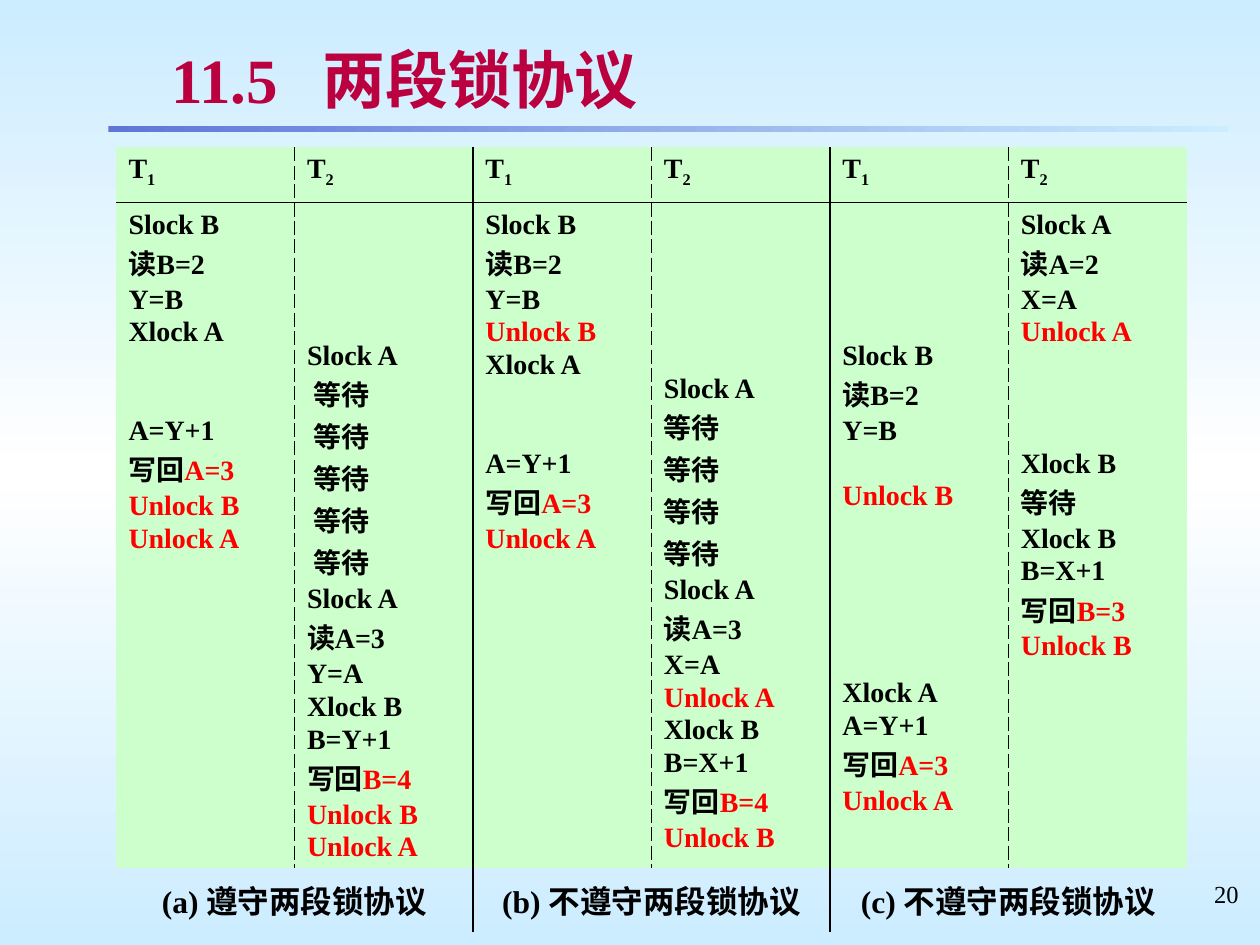
from lxml import etree
from pptx import Presentation
from pptx.dml.color import RGBColor
from pptx.enum.shapes import MSO_SHAPE
from pptx.enum.text import MSO_ANCHOR, PP_ALIGN
from pptx.oxml.ns import qn
from pptx.util import Inches, Pt

RECTANGLE = MSO_SHAPE.RECTANGLE
MIDDLE = MSO_ANCHOR.MIDDLE
LEFT, CENTER, RIGHT = PP_ALIGN.LEFT, PP_ALIGN.CENTER, PP_ALIGN.RIGHT

SKY = RGBColor(0xCC, 0xEC, 0xFF)
WHITE = RGBColor(0xFF, 0xFF, 0xFF)
BLUE = RGBColor(0x5F, 0x76, 0xD7)
CRIMSON = RGBColor(0xBA, 0x00, 0x3E)
SHADOW = RGBColor(0xB2, 0xB2, 0xB2)
MINT = RGBColor(0xCC, 0xFF, 0xCC)
BLACK = RGBColor(0x00, 0x00, 0x00)
RED = RGBColor(0xFF, 0x00, 0x00)

FONT = "Times New Roman"
NO_STYLE = "{2D5ABB26-0587-4C30-8999-92F81FD0307C}"
LINE_PITCH = 18.75
COLUMN_WIDTH = 8.5 / 6
ROW_HEIGHTS = (0.44, 5.28, 0.51)
THIN, DASHED, SOLID = (0.45, "solid"), (0.45, "dash"), (1.08, "solid")
WRITE_BACK = "写回"

# A number stands for that many idle time steps.
SCHEDULES = [
    ["Slock B", "读B=2", "Y=B", "Xlock A", 2, "A=Y+1", "写回A=3",
     "Unlock B", "Unlock A"],
    [4, "Slock A"] + [" 等待"] * 5 + [
        "Slock A", "读A=3", "Y=A", "Xlock B", "B=Y+1", "写回B=4",
        "Unlock B", "Unlock A"],
    ["Slock B", "读B=2", "Y=B", "Unlock B", "Xlock A", 2, "A=Y+1",
     "写回A=3", "Unlock A"],
    [5, "Slock A"] + ["等待"] * 4 + [
        "Slock A", "读A=3", "X=A", "Unlock A", "Xlock B", "B=X+1",
        "写回B=4", "Unlock B"],
    [4, "Slock B", "读B=2", "Y=B", 1, "Unlock B", 5, "Xlock A", "A=Y+1",
     "写回A=3", "Unlock A"],
    ["Slock A", "读A=2", "X=A", "Unlock A", 3, "Xlock B", "等待",
     "Xlock B", "B=X+1", "写回B=3", "Unlock B"],
]
CAPTIONS = ["(a) 遵守两段锁协议", "(b) 不遵守两段锁协议", "(c) 不遵守两段锁协议"]


def set_gradient(fill, colors, angle):
    fill.gradient()
    fill.gradient_angle = angle
    stops = fill._xPr.find(qn("a:gradFill")).find(qn("a:gsLst"))
    for stop in list(stops):
        stops.remove(stop)
    for index, color in enumerate(colors):
        position = index * 100000 // (len(colors) - 1)
        stop = etree.SubElement(stops, qn("a:gs"), pos=str(position))
        etree.SubElement(stop, qn("a:srgbClr"), val=str(color))


def add_span(para, text, size=16, color=BLACK, bold=True):
    span = para.add_run()
    span.text = text
    values = {"name": FONT, "size": Pt(size), "bold": bold}
    for name, value in values.items():
        setattr(span.font, name, value)
    span.font.color.rgb = color
    return span


def add_text_box(page, area, margin, anchor=None):
    box = page.shapes.add_textbox(*map(Inches, area))
    values = {"word_wrap": True, "vertical_anchor": anchor,
              "margin_top": Inches(margin), "margin_bottom": Inches(margin)}
    for name, value in values.items():
        setattr(box.text_frame, name, value)
    return box.text_frame.paragraphs[0]


def add_title(page):
    para = add_text_box(page, (1.26, 0.29, 8.24, 0.67), 0.04, MIDDLE)
    tabs = etree.SubElement(para._p.get_or_add_pPr(), qn("a:tabLst"))
    etree.SubElement(tabs, qn("a:tab"), pos=str(Inches(1.2)), algn="l")
    span = add_span(para, "11.5\t两段锁协议", 36, CRIMSON)
    for item in para.runs:
        fill = item.font._element.find(qn("a:solidFill"))
        effects = etree.Element(qn("a:effectLst"))
        shadow = etree.SubElement(effects, qn("a:outerShdw"),
                                  dist=str(Pt(2)), dir="2700000")
        etree.SubElement(shadow, qn("a:srgbClr"), val=str(SHADOW))
        fill.addnext(effects)
    return span


def add_rule(page):
    rule = page.shapes.add_shape(
        RECTANGLE, *map(Inches, (0.86, 1, 8.89, 0.05)))
    rule.shadow.inherit = False
    rule.line.fill.background()
    set_gradient(rule.fill, (BLUE, SKY), 0)


def set_borders(cell, borders):
    properties = cell._tc.get_or_add_tcPr()
    for index, side in enumerate("LRTB"):
        width, dash = borders.get(side) or (0, None)
        line = etree.Element(qn("a:ln" + side), w=str(Pt(width)))
        if dash:
            fill = etree.SubElement(line, qn("a:solidFill"))
            etree.SubElement(fill, qn("a:srgbClr"), val=str(BLACK))
            etree.SubElement(line, qn("a:prstDash"), val=dash)
        else:
            etree.SubElement(line, qn("a:noFill"))
        properties.insert(index, line)


def column_edge(edge):
    if edge in (0, 6):
        return None
    return DASHED if edge % 2 else SOLID


def fill_header(cell, column):
    para = cell.text_frame.paragraphs[0]
    add_span(para, "T")
    index = add_span(para, str(column % 2 + 1))
    index.font._element.set("baseline", "-25000")


def fill_schedule(cell, steps):
    frame = cell.text_frame
    para, idle = None, 0
    for step in steps:
        if isinstance(step, int):
            idle = step
            continue
        if para is None:
            para = frame.paragraphs[0]
            cell.margin_top = Inches(0.05) + Pt(idle * LINE_PITCH)
        else:
            para = frame.add_paragraph()
            para.space_before = Pt(1 + idle * LINE_PITCH)
        idle = 0
        if step.startswith(WRITE_BACK):
            add_span(para, WRITE_BACK)
            add_span(para, step[len(WRITE_BACK):], color=RED)
        else:
            color = RED if step.startswith("Unlock") else BLACK
            add_span(para, step, color=color)


def fill_caption(table, group):
    column = group * 2
    cell, partner = table.cell(2, column), table.cell(2, column + 1)
    cell.merge(partner)
    cell.vertical_anchor = MIDDLE
    para = cell.text_frame.paragraphs[0]
    para.alignment = CENTER
    add_span(para, CAPTIONS[group], 18)
    borders = {"L": column_edge(column), "R": column_edge(column + 2)}
    for part in (cell, partner):
        part.fill.background()
    set_borders(cell, borders)
    set_borders(partner, {"R": borders["R"]})


def add_schedule_table(page):
    area = (0.92, 1.17, 8.5, sum(ROW_HEIGHTS))
    frame = page.shapes.add_table(3, 6, *map(Inches, area))
    table = frame.table
    table.first_row = table.horz_banding = False
    table._tbl.tblPr.find(qn("a:tableStyleId")).text = NO_STYLE
    for row, height in zip(table.rows, ROW_HEIGHTS):
        row.height = Inches(height)
    for column, steps in enumerate(SCHEDULES):
        table.columns[column].width = Inches(COLUMN_WIDTH)
        header, body = table.cell(0, column), table.cell(1, column)
        fill_header(header, column)
        fill_schedule(body, steps)
        sides = {"L": column_edge(column), "R": column_edge(column + 1)}
        for cell, inner in ((header, "B"), (body, "T")):
            cell.fill.solid()
            cell.fill.fore_color.rgb = MINT
            set_borders(cell, {**sides, inner: THIN})
    for group in range(len(CAPTIONS)):
        fill_caption(table, group)


def main():
    deck = Presentation()
    deck.slide_width, deck.slide_height = Inches(10), Inches(7.5)
    page = deck.slides.add_slide(deck.slide_layouts[6])
    set_gradient(page.background.fill, (SKY, WHITE, SKY), 270)
    add_rule(page)
    number = add_text_box(page, (7.6, 6.93, 2.33, 0.52), 0.05)
    number.alignment = RIGHT
    add_span(number, "20", 14, bold=False)
    add_title(page)
    add_schedule_table(page)
    deck.save("out.pptx")


if __name__ == "__main__":
    main()
